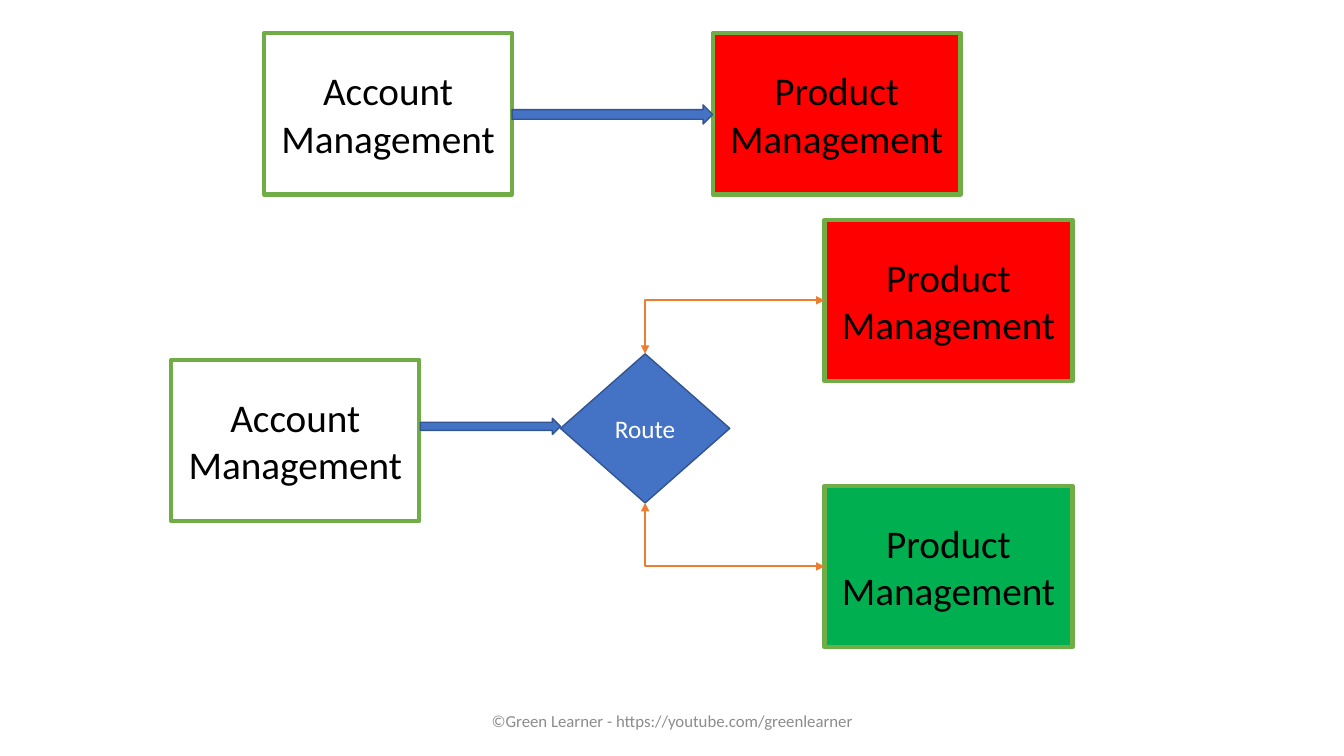
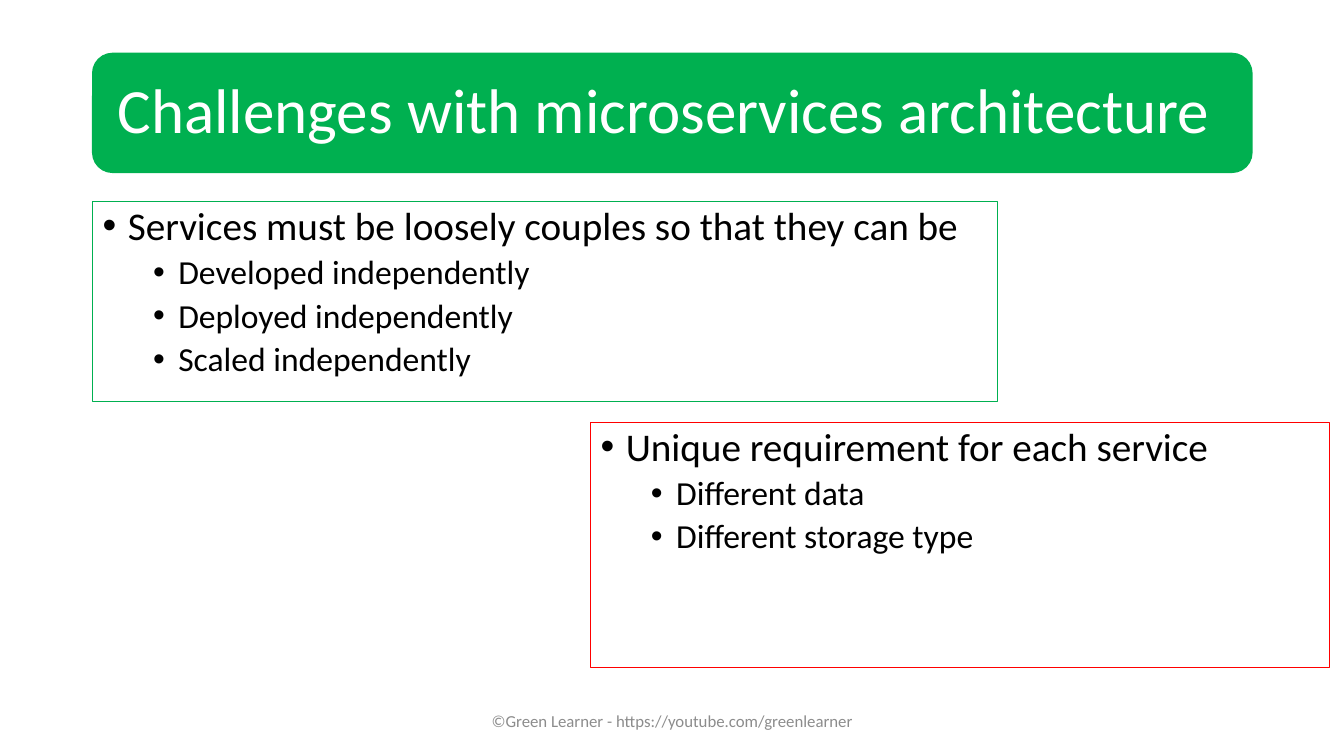
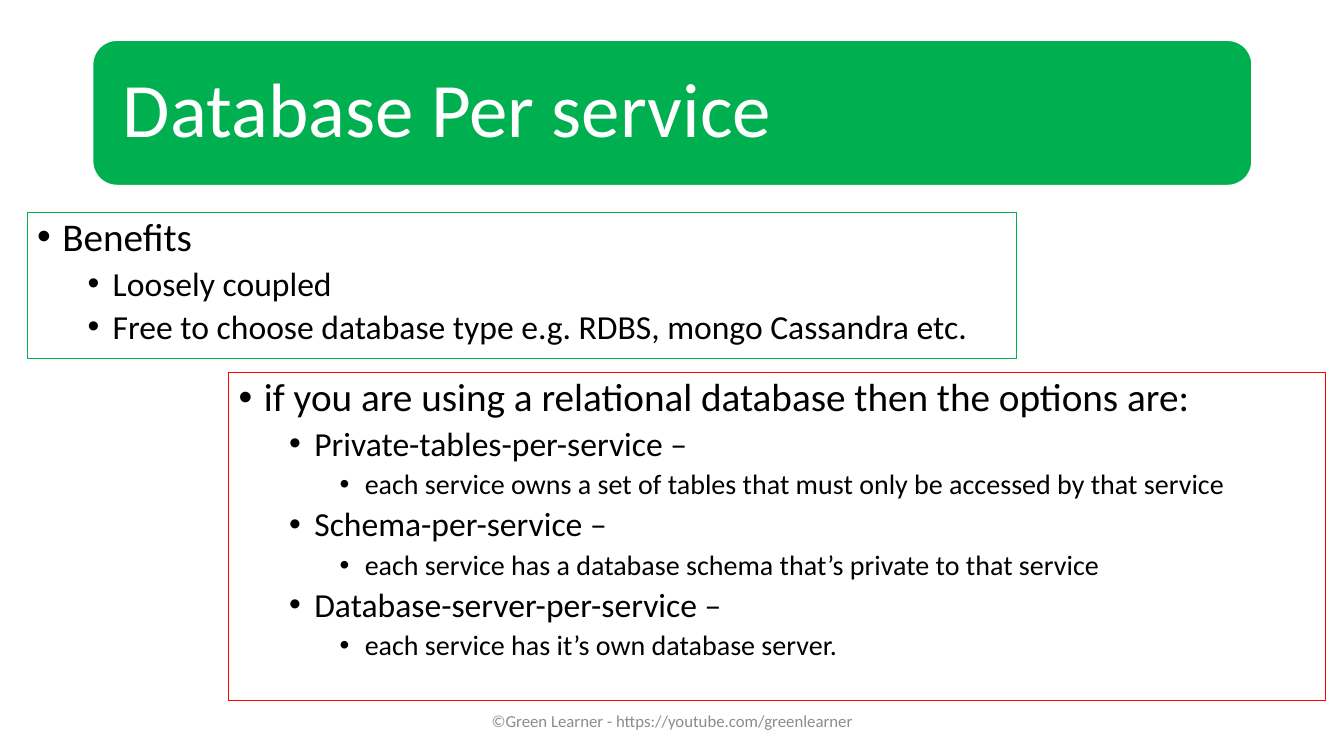
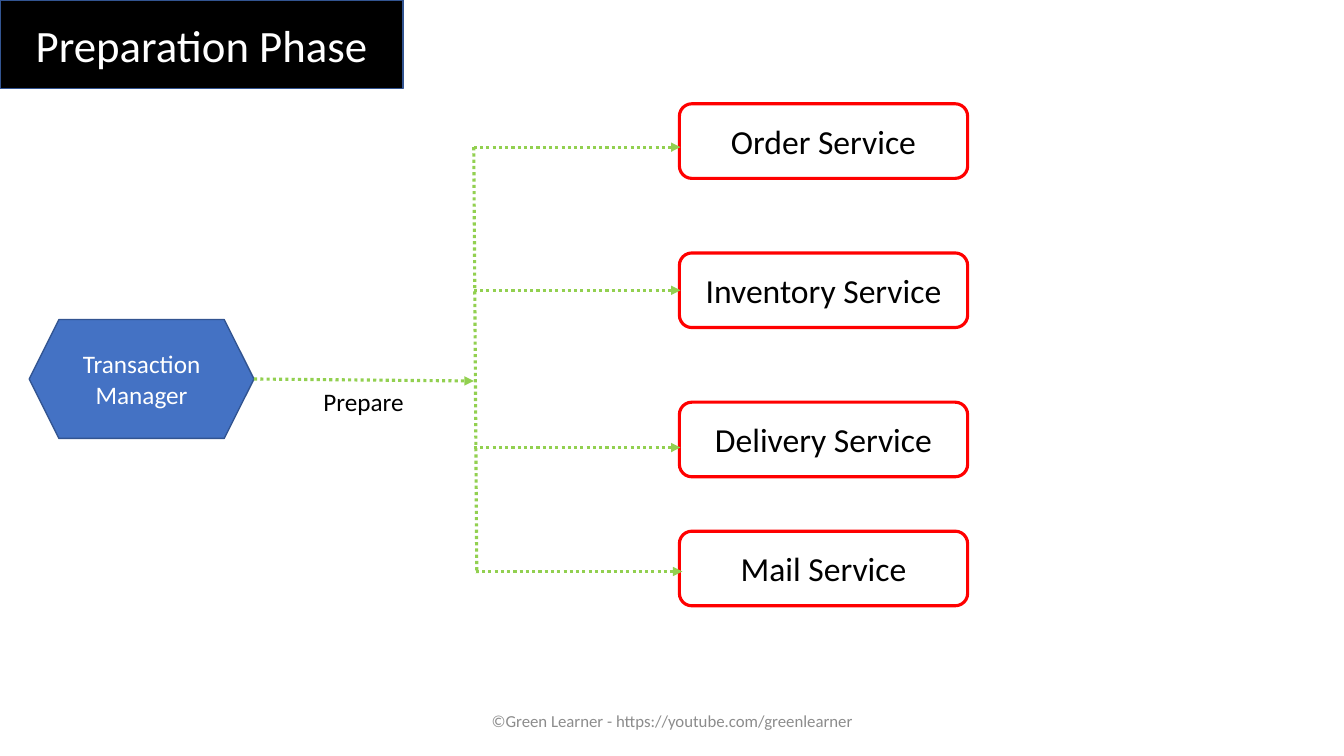
from dataclasses import dataclass

from lxml import etree
from pptx import Presentation
from pptx import util as u
from pptx.dml.color import RGBColor
from pptx.enum import dml, shapes, text
from pptx.oxml.ns import qn

PX = 9144  # EMU per px, 100 px to the inch
SHAPE = shapes.MSO_SHAPE
MID, TOP = text.MSO_ANCHOR.MIDDLE, text.MSO_ANCHOR.TOP
LEFT, CENTER = text.PP_ALIGN.LEFT, text.PP_ALIGN.CENTER


@dataclass(frozen=True)
class Theme:
    font: str = "Calibri"
    black: str = "000000"
    white: str = "FFFFFF"
    grey: str = "8C8C8C"
    red: str = "FF0000"
    green: str = "00B050"
    border: str = "70AD47"
    blue: str = "4472C4"
    navy: str = "325491"
    orange: str = "ED7D31"
    lime: str = "92D050"
    footer_size: int = 12
    label_size: int = 18
    service_size: int = 24
    box_size: int = 28
    phase_size: int = 32
    bullet_sizes: tuple = (28, 24, 20)


T = Theme()
FOOTER = "©Green Learner - https://youtube.com/greenlearner"


def px(*values):
    return [u.Emu(v * PX) for v in values]


def rgb(value):
    return RGBColor.from_string(value)


class Deck:
    def __init__(self):
        self.prs = Presentation()
        self.prs.slide_width, self.prs.slide_height = u.Inches(13.333), u.Inches(7.5)
        self.s = None

    def slide(self):
        self.s = self.prs.slides.add_slide(self.prs.slide_layouts[6])
        self.label(FOOTER, 442, 695, 450, 40, T.footer_size, T.grey, CENTER, MID)

    def add_words(self, p, words, size, color):
        r = p.add_run()
        r.text = words
        r.font.name, r.font.size = T.font, u.Pt(size)
        r.font.color.rgb = rgb(color)

    def fill_text(self, sp, words, size, color, align=CENTER, anchor=MID):
        tf = sp.text_frame
        tf.word_wrap, tf.vertical_anchor = True, anchor
        p = tf.paragraphs[0]
        p.alignment = align
        self.add_words(p, words, size, color)
        return tf

    def label(self, words, x, y, w, h, size, color, align=LEFT, anchor=TOP):
        sp = self.s.shapes.add_textbox(*px(x, y, w, h))
        self.fill_text(sp, words, size, color, align, anchor)

    def shape(self, kind, x, y, w, h, fill, line, width=1):
        sp = self.s.shapes.add_shape(kind, *px(x, y, w, h))
        sp.shadow.inherit = False
        if fill:
            sp.fill.solid()
            sp.fill.fore_color.rgb = rgb(fill)
        else:
            sp.fill.background()
        sp.line.color.rgb = rgb(line)
        sp.line.width = u.Pt(width)
        return sp

    def blue_shape(self, kind, x, y, w, h, words=None):
        sp = self.shape(kind, x, y, w, h, T.blue, T.navy)
        if words:
            self.fill_text(sp, words, T.label_size, T.white)

    def component(self, words, x, y, fill):
        sp = self.shape(SHAPE.RECTANGLE, x, y, 246, 160, fill, T.border, 3)
        self.fill_text(sp, words, T.box_size, T.black)

    def service(self, words, y):
        sp = self.shape(SHAPE.ROUNDED_RECTANGLE, 674, y, 286, 74, T.white, T.red, 2.25)
        self.fill_text(sp, words, T.service_size, T.black)

    def title_band(self, words, y, h, size, inset, line):
        sp = self.shape(SHAPE.ROUNDED_RECTANGLE, 92, y, 1150, h, T.green, line)
        tf = self.fill_text(sp, words, size, T.white, LEFT)
        tf.paragraphs[0].line_spacing = 0.9
        tf.margin_left, tf.margin_top, tf.margin_right, tf.margin_bottom = px(*[inset] * 4)

    def bullets(self, x, y, w, h, line, items):
        """Outlined list; items are (level, words) pairs."""
        sp = self.shape(SHAPE.RECTANGLE, x, y, w, h, None, line, 0.75)
        tf = sp.text_frame
        tf.word_wrap, tf.vertical_anchor = True, TOP
        for i, (level, words) in enumerate(items):
            p = tf.add_paragraph() if i else tf.paragraphs[0]
            pPr = p._p.get_or_add_pPr()
            pPr.set("marL", str((25 + 50 * level) * PX))
            pPr.set("indent", str(-25 * PX))
            etree.SubElement(pPr, qn("a:buFont")).set("typeface", "Arial")
            etree.SubElement(pPr, qn("a:buChar")).set("char", "•")
            p.level, p.alignment, p.line_spacing = level, LEFT, 0.9
            if i:
                p.space_before = u.Pt(5 if level else 10)
            self.add_words(p, words, T.bullet_sizes[level], T.black)

    def connector(self, x1, y1, x2, y2, color, width, ends=(), dotted=False, bent=False):
        """Line with arrowheads at the named ends; bent runs across, then up or down."""
        kind = shapes.MSO_CONNECTOR.ELBOW if bent else shapes.MSO_CONNECTOR.STRAIGHT
        c = self.s.shapes.add_connector(kind, *px(x1, y1, x2, y2))
        c.line.color.rgb = rgb(color)
        c.line.width = u.Pt(width)
        if dotted:
            c.line.dash_style = dml.MSO_LINE.ROUND_DOT
        spPr = c._element.spPr
        if bent:
            spPr.find(qn("a:prstGeom")).set("prst", "bentConnector2")
        for end in ends:
            etree.SubElement(spPr.find(qn("a:ln")), qn(f"a:{end}End")).set("type", "triangle")
        etree.SubElement(spPr, qn("a:effectLst"))

    def dots(self, x1, y1, x2, y2, ends=("tail",)):
        self.connector(x1, y1, x2, y2, T.lime, 2.25, ends, dotted=True)


def routing_slide(d):
    d.slide()
    account, product = "Account Management", "Product Management"
    d.component(product, 707, 33, T.red)
    d.component(account, 262, 33, T.white)
    d.blue_shape(SHAPE.RIGHT_ARROW, 508, 104, 199, 19)
    d.component(account, 170, 357, T.white)
    d.blue_shape(SHAPE.DIAMOND, 556, 351, 168, 148, "Route")
    d.blue_shape(SHAPE.RIGHT_ARROW, 417, 415, 139, 16)
    for top, fill, tip in ((218, T.red, 351), (482, T.green, 499)):
        d.component(product, 818, top, fill)
        d.connector(818, top + 80, 640, tip, T.orange, 1.5, ("head", "tail"), bent=True)


def challenges_slide(d):
    d.slide()
    d.title_band("Challenges with microservices architecture", 53, 118, 45, 19, T.green)
    d.bullets(92, 200, 898, 198, T.green, [
        (0, "Services must be loosely couples so that they can be"),
        (1, "Developed independently"),
        (1, "Deployed independently"),
        (1, "Scaled independently"),
    ])
    d.bullets(586, 419, 733, 243, T.red, [
        (0, "Unique requirement for each service"),
        (1, "Different data"),
        (1, "Different storage type"),
    ])


def database_slide(d):
    d.slide()
    d.title_band("Database Per service", 40, 144, 55, 23, T.white)
    d.bullets(27, 211, 981, 145, T.green, [
        (0, "Benefits"),
        (1, "Loosely coupled"),
        (1, "Free to choose database type e.g. RDBS, mongo Cassandra etc."),
    ])
    d.bullets(227, 370, 1088, 325, T.red, [
        (0, "if you are using a relational database then the options are:"),
        (1, "Private-tables-per-service –"),
        (2, "each service owns a set of tables that must only be accessed by that service"),
        (1, "Schema-per-service –"),
        (2, "each service has a database schema that’s private to that service"),
        (1, "Database-server-per-service –"),
        (2, "each service has it’s own database server."),
    ])


def preparation_slide(d):
    d.slide()
    d.blue_shape(SHAPE.HEXAGON, 29, 317, 223, 118, "Transaction Manager")
    phase = d.shape(SHAPE.RECTANGLE, 0, 0, 400, 88, T.black, T.navy)
    d.fill_text(phase, "Preparation Phase", T.phase_size, T.white)
    d.label("Prepare", 311, 378, 116, 40, T.label_size, T.black)
    d.dots(252, 376, 470, 378)
    d.dots(470, 146, 473, 569, ends=())
    for words, top, branch_x, branch_y in (
        ("Order Service", 103, 470, 146),
        ("Inventory Service", 251, 470, 288),
        ("Delivery Service", 399, 470, 444),
        ("Mail Service", 527, 472, 567),
    ):
        d.service(words, top)
        d.dots(branch_x, branch_y, branch_x + 205, branch_y)


def main():
    d = Deck()
    for build in (routing_slide, challenges_slide, database_slide, preparation_slide):
        build(d)
    d.prs.save("out.pptx")


if __name__ == "__main__":
    main()
